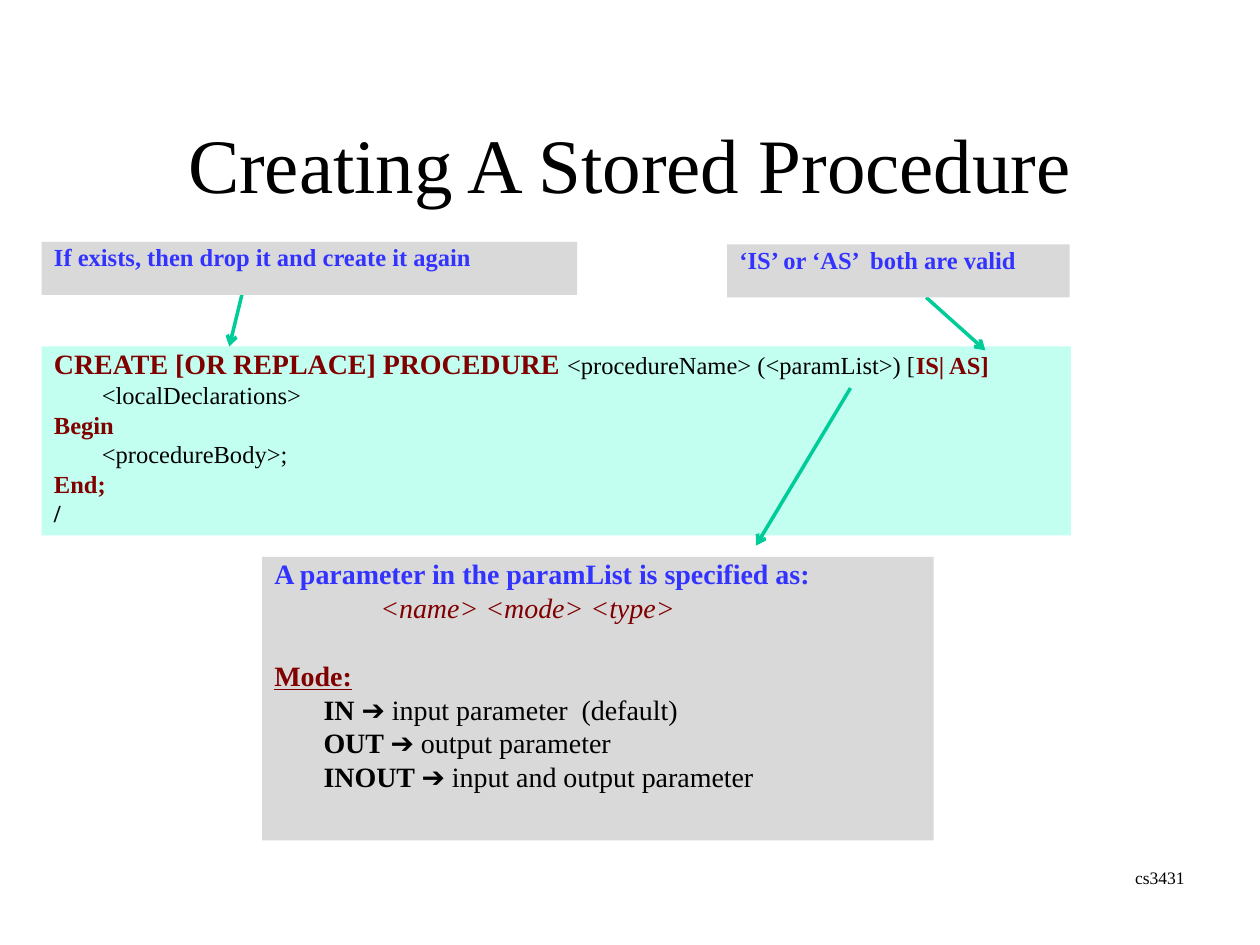
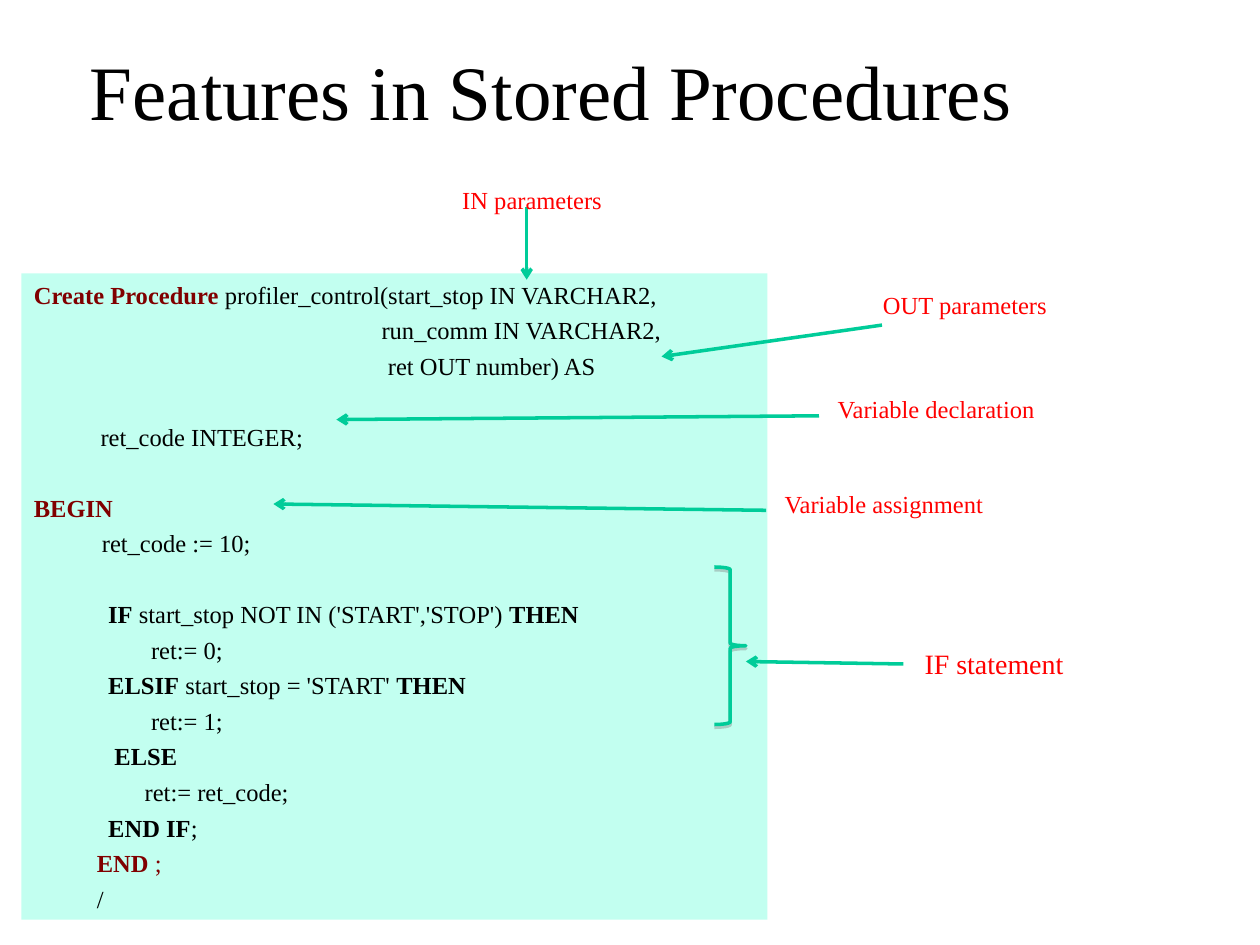
import pptx
import pptx.dml.color
import pptx.enum.shapes
import pptx.enum.text
import pptx.oxml
import pptx.oxml.ns
import pptx.util

Inches = pptx.util.Inches
Pt = pptx.util.Pt
SHAPES = pptx.enum.shapes.MSO_SHAPE
ALIGN = pptx.enum.text.PP_ALIGN
ANCHOR = pptx.enum.text.MSO_ANCHOR

COLORS = {
    "ink": "000000",
    "keyword": "800000",
    "heading": "3333FF",
    "callout": "FF0000",
    "arrow": "00CC99",
    "code": "C2FFF0",
    "note": "D9D9D9",
    "shadow": "808080",
}
SERIF = "Times New Roman"
KEYWORD = {"color": "keyword", "bold": True}
HEADING = {"color": "heading", "bold": True}
BOLD = {"bold": True}
LINE_WIDTH = Pt(2)
TITLE_ONLY = 5
DRAWING_NS = pptx.oxml.ns.nsdecls("a")


def rgb(color):
    return pptx.dml.color.RGBColor.from_string(COLORS[color])


def write(paragraph, text, size=14, color="ink", font=SERIF, bold=False,
          italic=False, underline=False):
    run = paragraph.add_run()
    run.text = text
    run.font.name = font
    run.font.size = Pt(size)
    run.font.bold = bold
    run.font.italic = italic
    run.font.underline = underline
    run.font.color.rgb = rgb(color)


def write_lines(frame, lines, size=14, spacing=1.0, row_height=20.3):
    frame.vertical_anchor = ANCHOR.TOP
    for number, (indent, runs, *skipped_rows) in enumerate(lines):
        paragraph = frame.paragraphs[0] if number == 0 else frame.add_paragraph()
        paragraph.alignment = ALIGN.LEFT
        paragraph.line_spacing = spacing
        paragraph.space_before = Pt(size / 4 + row_height * sum(skipped_rows))
        properties = paragraph._p.get_or_add_pPr()
        properties.set("marL", str(Inches(indent)))
        properties.set("indent", "0")
        for text, style in runs:
            write(paragraph, text, **{"size": size, **style})


def add_title(slide, text, box):
    title = slide.shapes.title
    title.left, title.top, title.width, title.height = map(Inches, box)
    frame = title.text_frame
    frame.word_wrap = True
    frame.auto_size = pptx.enum.text.MSO_AUTO_SIZE.NONE
    frame.vertical_anchor = ANCHOR.MIDDLE
    paragraph = frame.paragraphs[0]
    paragraph.alignment = ALIGN.CENTER
    write(paragraph, text, size=44)


def add_panel(slide, box, fill, lines, **layout):
    panel = slide.shapes.add_shape(SHAPES.RECTANGLE, *map(Inches, box))
    panel.shadow.inherit = False
    panel.fill.solid()
    panel.fill.fore_color.rgb = rgb(fill)
    panel.line.fill.background()
    panel.text_frame.word_wrap = True
    write_lines(panel.text_frame, lines, **layout)


def add_arrow(slide, box, start, end):
    left, top = box[:2]
    arrow = slide.shapes.add_connector(
        pptx.enum.shapes.MSO_CONNECTOR.STRAIGHT,
        Inches(left + start[0]), Inches(top + start[1]),
        Inches(left + end[0]), Inches(top + end[1]))
    arrow.line.color.rgb = rgb("arrow")
    arrow.line.width = LINE_WIDTH
    arrow.line._get_or_add_ln().append(
        pptx.oxml.parse_xml(f'<a:tailEnd {DRAWING_NS} type="arrow"/>'))
    arrow._element.spPr.append(
        pptx.oxml.parse_xml(f"<a:effectLst {DRAWING_NS}/>"))


def add_course_footer(slide, box):
    footer = slide.shapes.add_textbox(*map(Inches, box))
    footer.text_frame.word_wrap = True
    paragraph = footer.text_frame.paragraphs[0]
    paragraph.alignment = ALIGN.RIGHT
    write(paragraph, "cs3431", size=10)


def add_syntax(slide, box):
    add_panel(slide, box, "code", [
        (0, [("CREATE [OR REPLACE] PROCEDURE ", {**KEYWORD, "size": 16}),
             ("<procedureName> (<paramList>) [", {}), ("IS| AS]", KEYWORD)]),
        (0.38, [("<localDeclarations>", {})]),
        (0, [("Begin", KEYWORD)]),
        (0.38, [("<procedureBody>;", {})]),
        (0, [("End;", KEYWORD)]),
        (0, [("/", BOLD)]),
    ], spacing=0.8)


def add_parameter_note(slide, box):
    modes = [("IN ", " input parameter  (default)"),
             ("OUT ", " output parameter"),
             ("INOUT ", " input and output parameter")]
    add_arrow(slide, box, (4.67, -1.34), (3.92, -0.09))
    add_panel(slide, box, "note", [
        (0, [("A parameter in the paramList is specified as:", HEADING)]),
        (0.84, [("<name> <mode> <type>", {"color": "keyword", "italic": True})]),
        (0, [("Mode:", {**KEYWORD, "underline": True})], 1),
        *[(0.39, [(mode, BOLD), ("➔", {"font": "Arial"}), (meaning, {})])
          for mode, meaning in modes],
    ], size=16, spacing=0.8, row_height=19.3)


def add_syntax_hint(slide, box, text, start, end):
    add_arrow(slide, box, start, end)
    add_panel(slide, box, "note", [(0, [(text, HEADING)])], spacing=0.8)


def add_example(slide, box):
    add_panel(slide, box, "code", [
        (0, [("Create Procedure ", KEYWORD),
             ("profiler_control(start_stop IN VARCHAR2,", {})]),
        (2.76, [("run_comm IN VARCHAR2,", {})]),
        (2.81, [("ret OUT number) AS", {})]),
        (0.53, [("ret_code INTEGER;", {})], 1),
        (0, [("BEGIN", KEYWORD)], 1),
        (0.54, [("ret_code := 10;", {})]),
        (0.59, [("IF", BOLD), (" start_stop NOT IN ('START','STOP') ", {}),
                ("THEN", BOLD)], 1),
        (0.93, [("ret:= 0;", {})]),
        (0.59, [("ELSIF", BOLD), (" start_stop = 'START' ", {}), ("THEN", BOLD)]),
        (0.93, [("ret:= 1;", {})]),
        (0.64, [("ELSE", BOLD)]),
        (0.88, [("ret:= ret_code;", {})]),
        (0.59, [("END IF", BOLD), (";", {})]),
        (0.5, [("END", KEYWORD), (" ;", {"color": "keyword"})]),
        (0.5, [("/", {})]),
    ])


def add_feature(slide, box, text, start, end, size=14):
    add_arrow(slide, box, start, end)
    label = slide.shapes.add_textbox(*map(Inches, box))
    label.text_frame.word_wrap = False
    write_lines(label.text_frame, [(0, [(text, {"color": "callout"})])], size=size)


def add_if_brace(slide, box):
    brace = slide.shapes.add_shape(SHAPES.RIGHT_BRACE, *map(Inches, box))
    brace.shadow.inherit = False
    brace.fill.background()
    brace.line.color.rgb = rgb("arrow")
    brace.line.width = LINE_WIDTH
    effects = brace._element.spPr.find(pptx.oxml.ns.qn("a:effectLst"))
    effects.append(pptx.oxml.parse_xml(
        f'<a:outerShdw {DRAWING_NS} blurRad="0" dist="{Pt(1.6)}" dir="5400000">'
        f'<a:srgbClr val="{COLORS["shadow"]}"><a:alpha val="38000"/></a:srgbClr>'
        '</a:outerShdw>'))


def build_syntax_slide(deck):
    slide = deck.slides.add_slide(deck.slide_layouts[TITLE_ONLY])
    add_course_footer(slide, (7.17, 6.83, 2.33, 0.5))
    add_title(slide, "Creating A Stored Procedure", (0.75, 0.67, 8.5, 1.25))
    add_syntax(slide, (0.33, 2.75, 8.17, 1.5))
    add_parameter_note(slide, (2.08, 4.42, 5.33, 2.25))
    add_syntax_hint(slide, (0.33, 1.92, 4.25, 0.42),
                    "If exists, then drop it and create it again",
                    (1.59, 0.42), (1.49, 0.83))
    add_syntax_hint(slide, (5.77, 1.94, 2.72, 0.42),
                    "‘IS’ or ‘AS’  both are valid", (1.58, 0.42), (2.05, 0.84))


def build_features_slide(deck):
    slide = deck.slides.add_slide(deck.slide_layouts[TITLE_ONLY])
    add_title(slide, "Features in Stored Procedures", (0.25, 0.25, 8.25, 0.92))
    add_example(slide, (0.17, 2.17, 5.92, 5.13))
    add_feature(slide, (3.57, 1.42, 1.31, 0.34), "IN parameters",
                (0.61, 0.22), (0.61, 0.8))
    add_feature(slide, (6.91, 2.25, 1.5, 0.34), "OUT parameters",
                (0.09, 0.33), (-1.66, 0.58))
    add_feature(slide, (6.55, 3.08, 1.78, 0.34), "Variable declaration",
                (-0.05, 0.22), (-3.88, 0.25))
    add_feature(slide, (6.13, 3.83, 1.84, 0.34), "Variable assignment",
                (-0.05, 0.22), (-3.96, 0.17))
    add_feature(slide, (7.24, 5.08, 1.3, 0.37), "IF statement",
                (-0.07, 0.19), (-1.32, 0.17), size=16)
    add_if_brace(slide, (5.67, 4.5, 0.25, 1.25))


def main():
    deck = pptx.Presentation()
    deck.slide_width, deck.slide_height = Inches(10), Inches(7.5)
    build_syntax_slide(deck)
    build_features_slide(deck)
    deck.save("out.pptx")


if __name__ == "__main__":
    main()
